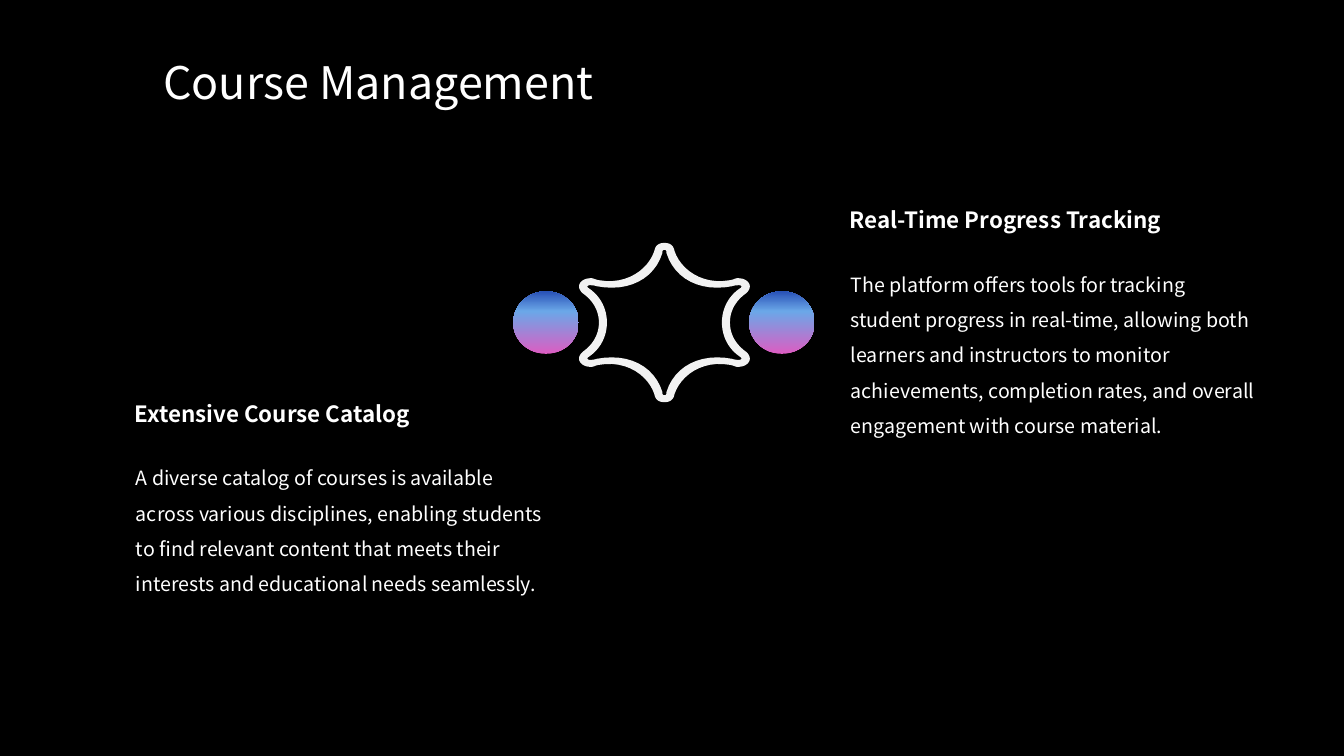
"""Build the Course Management slide: two captions around a hollow star."""
from copy import deepcopy

from pptx import Presentation
from pptx.dml.color import RGBColor
from pptx.enum.shapes import MSO_SHAPE
from pptx.enum.text import MSO_AUTO_SIZE
from pptx.util import Inches, Pt

FONT = "Noto Sans CJK SC"
BLACK = RGBColor(0x00, 0x00, 0x00)
WHITE = RGBColor(0xFF, 0xFF, 0xFF)
STAR_GREY = RGBColor(0xF2, 0xF2, 0xF2)
PINK = RGBColor(0xDC, 0x5D, 0xC2)
SKY = RGBColor(0x6B, 0xA7, 0xE8)
BLUE = RGBColor(0x28, 0x51, 0xB6)

STAR_X, STAR_Y = 6.59, 3.2
OUTER_QUARTER = [
    (6.59, 2.41), (6.64, 2.41), (6.68, 2.43), (6.69, 2.49),
    (6.75, 2.67), (6.96, 2.83), (7.24, 2.78),
    (7.29, 2.77), (7.29, 2.76), (7.32, 2.76),
    (7.42, 2.76), (7.48, 2.84), (7.40, 2.91),
    (7.30, 2.98), (7.24, 3.08), (7.24, 3.20),
]
INNER_QUARTER = [
    (6.59, 2.48), (6.61, 2.48), (6.61, 2.49), (6.61, 2.51),
    (6.69, 2.77), (6.95, 2.90), (7.26, 2.84),
    (7.29, 2.83), (7.31, 2.83), (7.33, 2.83),
    (7.36, 2.83), (7.36, 2.85), (7.34, 2.86),
    (7.22, 2.94), (7.16, 3.07), (7.16, 3.20),
]
CURVE_STEPS = 12


def star_outline(quarter):
    """Trace the Bezier curves of one quarter and mirror them into a ring."""
    traced = [quarter[0]]
    for first in range(0, len(quarter) - 1, 3):
        controls = quarter[first:first + 4]
        for step in range(1, CURVE_STEPS + 1):
            t = step / CURVE_STEPS
            weights = ((1 - t) ** 3, 3 * t * (1 - t) ** 2, 3 * t * t * (1 - t), t ** 3)
            traced.append(tuple(
                sum(w * c[axis] for w, c in zip(weights, controls)) for axis in (0, 1)))
    right = traced + [(x, 2 * STAR_Y - y) for x, y in reversed(traced[:-1])]
    ring = right + [(2 * STAR_X - x, y) for x, y in reversed(right[1:-1])]
    return [(Inches(x), Inches(y)) for x, y in ring]


def add_text(left, top, width, height, wording, size, bold=False, spacing=None):
    """Place one white paragraph on the slide."""
    frame = slide.shapes.add_textbox(
        Inches(left), Inches(top), Inches(width), Inches(height)).text_frame
    frame.word_wrap = True
    frame.auto_size = MSO_AUTO_SIZE.SHAPE_TO_FIT_TEXT
    frame.text = wording
    paragraph = frame.paragraphs[0]
    paragraph.line_spacing = spacing
    font = paragraph.runs[0].font
    font.name, font.size, font.bold = FONT, Pt(size), bold
    font.color.rgb = WHITE


presentation = Presentation()
presentation.slide_width = Inches(13.33)
presentation.slide_height = Inches(7.5)
slide = presentation.slides.add_slide(presentation.slide_layouts[6])
slide.background.fill.solid()
slide.background.fill.fore_color.rgb = BLACK

add_text(1.52, 0.49, 7.79, 0.64, "Course Management", 32)

captions = [
    (1.24, 3.92, "Extensive Course Catalog",
     "A diverse catalog of courses is available across various disciplines, enabling "
     "students to find relevant content that meets their interests and educational "
     "needs seamlessly."),
    (8.33, 2, "Real-Time Progress Tracking",
     "The platform offers tools for tracking student progress in real-time, allowing "
     "both learners and instructors to monitor achievements, completion rates, and "
     "overall engagement with course material."),
]
for left, top, heading, description in captions:
    add_text(left, top, 4.25, 0.37, heading, 16, bold=True)
    add_text(left + 0.01, top + 0.54, 4.25, 2.18, description, 14, spacing=1.5)

outer = star_outline(OUTER_QUARTER)
inner = star_outline(INNER_QUARTER)[::-1]
star_builder = slide.shapes.build_freeform(*outer[0])
star_builder.add_line_segments(outer[1:], close=True)
star_builder.move_to(*inner[0])
star_builder.add_line_segments(inner[1:], close=True)
star = star_builder.convert_to_shape()
star.shadow.inherit = False
star.fill.solid()
star.fill.fore_color.rgb = STAR_GREY
star.line.fill.background()

for left in (5.09, 7.43):
    orb = slide.shapes.add_shape(
        MSO_SHAPE.OVAL, Inches(left), Inches(2.89), Inches(0.65), Inches(0.62))
    orb.shadow.inherit = False
    orb.line.fill.background()
    orb.fill.gradient()
    orb.fill.gradient_angle = 90
    stop_list = orb.fill._fill._gradFill.gsLst
    stop_list.append(deepcopy(stop_list[0]))
    for stop, (position, color) in zip(
            orb.fill.gradient_stops, ((0, PINK), (0.68, SKY), (1, BLUE))):
        stop.position = position
        stop.color.rgb = color

presentation.save("out.pptx")
